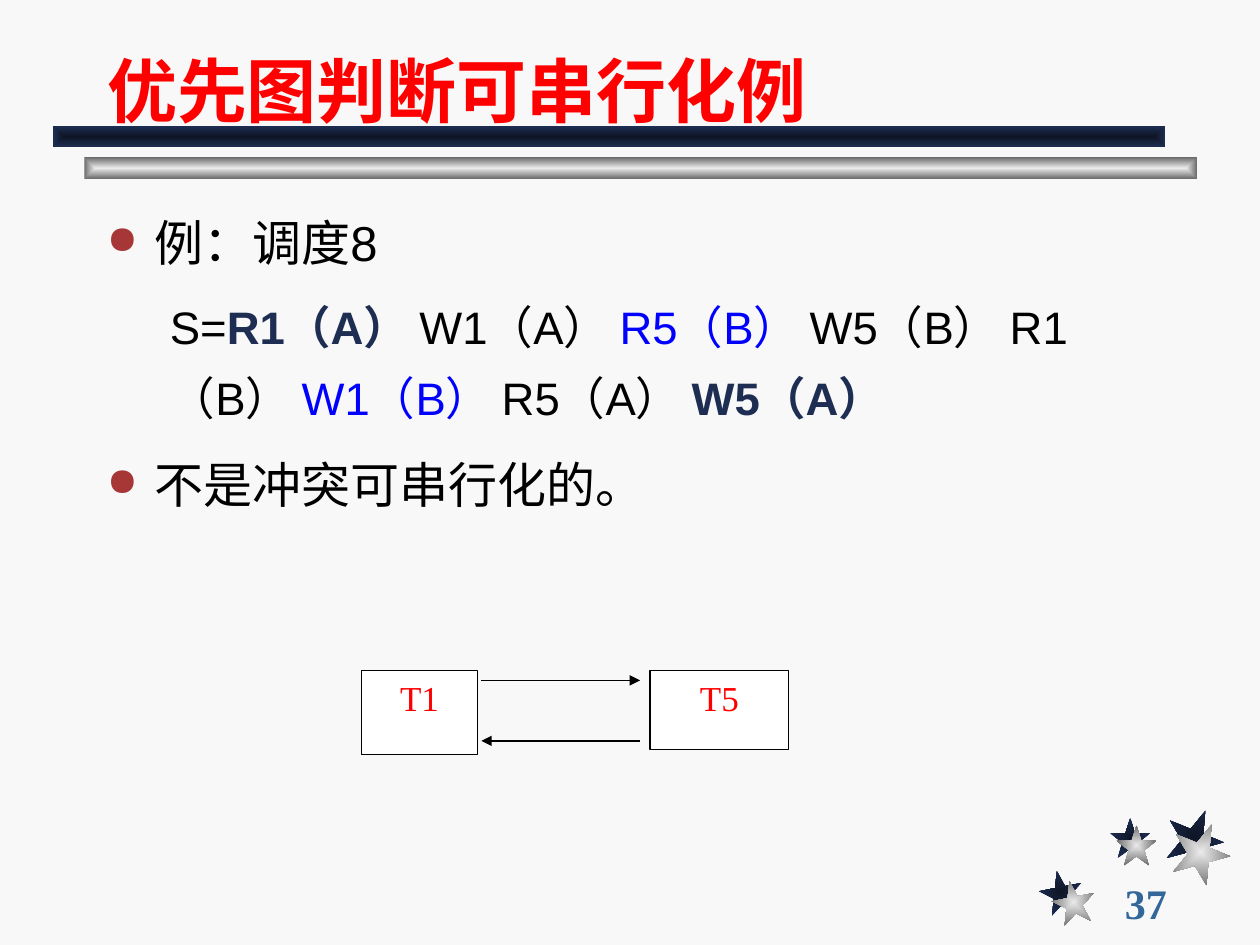
from lxml.etree import SubElement
from pptx import Presentation
from pptx.dml.color import RGBColor
from pptx.enum.shapes import MSO_CONNECTOR, MSO_SHAPE
from pptx.enum.text import MSO_ANCHOR, PP_ALIGN
from pptx.oxml.ns import qn
from pptx.util import Inches, Pt

COLORS = {
    "background": "F8F8F8",
    "red": "FF0000",
    "black": "000000",
    "white": "FFFFFF",
    "blue": "0000FF",
    "navy": "1E2E53",
    "navy_dark": "0E1526",
    "silver": "EAEAEA",
    "silver_dark": "6C6C6C",
    "bullet": "A73737",
    "number": "336699",
}
NAVY = ("navy_dark", "navy")
SILVER = ("silver", "silver_dark")
SCHEDULE = [
    ("S=", "black", False),
    ("R1（A） ", "navy", True),
    ("W1（A） ", "black", False),
    ("R5（B） ", "blue", False),
    ("W5（B） R1（B） ", "black", False),
    ("W1（B） ", "blue", False),
    ("R5（A） ", "black", False),
    ("W5（A）", "navy", True),
]


def color(name):
    return RGBColor.from_string(COLORS[name])


def set_font(font, size, name, color_name, bold=False):
    font.size = Pt(size)
    font.name = name
    font.bold = bold
    font.color.rgb = color(color_name)


def add_ornament(page, kind, left, top, width, height, shades, rotation=0):
    shape = page.shapes.add_shape(
        kind, Inches(left), Inches(top), Inches(width), Inches(height))
    shape.rotation = rotation
    shape.shadow.inherit = False
    shape.line.fill.background()
    shape.fill.gradient()
    for stop, shade in zip(shape.fill.gradient_stops, shades):
        stop.color.rgb = color(shade)
    gradient = shape._element.spPr.find(qn("a:gradFill"))
    gradient.remove(gradient.find(qn("a:lin")))
    center = SubElement(gradient, qn("a:path"), {"path": "rect"})
    SubElement(center, qn("a:fillToRect"), dict.fromkeys("ltrb", "50000"))


def add_decoration(page):
    stars = [
        (8.25, 6.91, 8.35, 6.99, 0.34, 349),
        (8.81, 6.49, 8.86, 6.55, 0.32, 0),
        (9.25, 6.42, 9.30, 6.53, 0.46, 22),
    ]
    for back_left, back_top, left, top, size, rotation in stars:
        for x, y, shades in ((back_left, back_top, NAVY), (left, top, SILVER)):
            add_ornament(page, MSO_SHAPE.STAR_5_POINT, x, y, size, size, shades, rotation)
    for left, top, shades in ((0.67, 1.25, SILVER), (0.42, 1, NAVY)):
        add_ornament(page, MSO_SHAPE.RECTANGLE, left, top, 8.83, 0.17, shades)


def add_title(page, text):
    title = page.shapes.title
    title.left, title.top = Inches(0.75), Inches(0.17)
    title.width, title.height = Inches(8.5), Inches(0.92)
    title.text_frame.text = text
    title.text_frame.vertical_anchor = MSO_ANCHOR.BOTTOM
    para = title.text_frame.paragraphs[0]
    para.alignment = PP_ALIGN.LEFT
    set_font(para.font, 40, "Arial", "red", True)


def add_text_box(page, left, top, width, height):
    box = page.shapes.add_textbox(
        Inches(left), Inches(top), Inches(width), Inches(height))
    box.text_frame.word_wrap = True
    return box.text_frame


def add_page_number(page, number):
    frame = add_text_box(page, 8.83, 7, 1.08, 0.33)
    frame.vertical_anchor = MSO_ANCHOR.MIDDLE
    frame.text = number
    set_font(frame.paragraphs[0].font, 24, "Times New Roman", "number", True)


def format_bullet(para, text):
    para.text = text
    para.line_spacing = 1.3
    props = para._p.get_or_add_pPr()
    props.set("marL", str(Inches(0.38)))
    props.set("indent", str(-Inches(0.38)))
    bullet_color = SubElement(props, qn("a:buClr"))
    SubElement(bullet_color, qn("a:srgbClr"), {"val": COLORS["bullet"]})
    SubElement(props, qn("a:buSzPct"), {"val": "80000"})
    SubElement(props, qn("a:buChar"), {"char": "●"})
    set_font(para.font, 28, "Arial", "black")


def format_schedule(para):
    para.level = 1
    para.line_spacing = 1.3
    para.space_before = Pt(6.5)
    props = para._p.get_or_add_pPr()
    props.set("marL", str(Inches(0.5)))
    props.set("indent", "0")
    for text, color_name, bold in SCHEDULE:
        span = para.add_run()
        span.text = text
        set_font(span.font, 26, "Arial", color_name, bold)


def add_body(page):
    frame = add_text_box(page, 0.75, 1.5, 8.66, 2.64)
    format_bullet(frame.paragraphs[0], "例：调度8")
    format_schedule(frame.add_paragraph())
    conclusion = frame.add_paragraph()
    format_bullet(conclusion, "不是冲突可串行化的。")
    conclusion.space_before = Pt(7)


def add_transaction(page, text, left, width, height):
    box = page.shapes.add_shape(
        MSO_SHAPE.RECTANGLE, Inches(left), Inches(5.32), Inches(width), Inches(height))
    box.shadow.inherit = False
    box.fill.solid()
    box.fill.fore_color.rgb = color("white")
    box.line.color.rgb = color("black")
    box.line.width = Pt(0.75)
    box.text_frame.vertical_anchor = MSO_ANCHOR.TOP
    box.text_frame.text = text
    para = box.text_frame.paragraphs[0]
    para.alignment = PP_ALIGN.CENTER
    set_font(para.font, 20, "Times New Roman", "red")


def add_arrow(page, start, end, y):
    arrow = page.shapes.add_connector(
        MSO_CONNECTOR.STRAIGHT, Inches(start), Inches(y), Inches(end), Inches(y))
    arrow.line.color.rgb = color("black")
    arrow.line.width = Pt(0.75)
    SubElement(arrow.line._get_or_add_ln(), qn("a:tailEnd"), {"type": "triangle"})
    SubElement(arrow._element.spPr, qn("a:effectLst"))


def main():
    deck = Presentation()
    deck.slide_width, deck.slide_height = Inches(10), Inches(7.5)
    page = deck.slides.add_slide(deck.slide_layouts[5])
    page.background.fill.solid()
    page.background.fill.fore_color.rgb = color("background")
    add_decoration(page)
    add_page_number(page, "37")
    add_title(page, "优先图判断可串行化例")
    add_body(page)
    add_transaction(page, "T1", 2.87, 0.92, 0.67)
    add_transaction(page, "T5", 5.16, 1.1, 0.63)
    add_arrow(page, 3.82, 5.08, 5.4)
    add_arrow(page, 5.08, 3.82, 5.88)
    deck.save("out.pptx")


if __name__ == "__main__":
    main()
